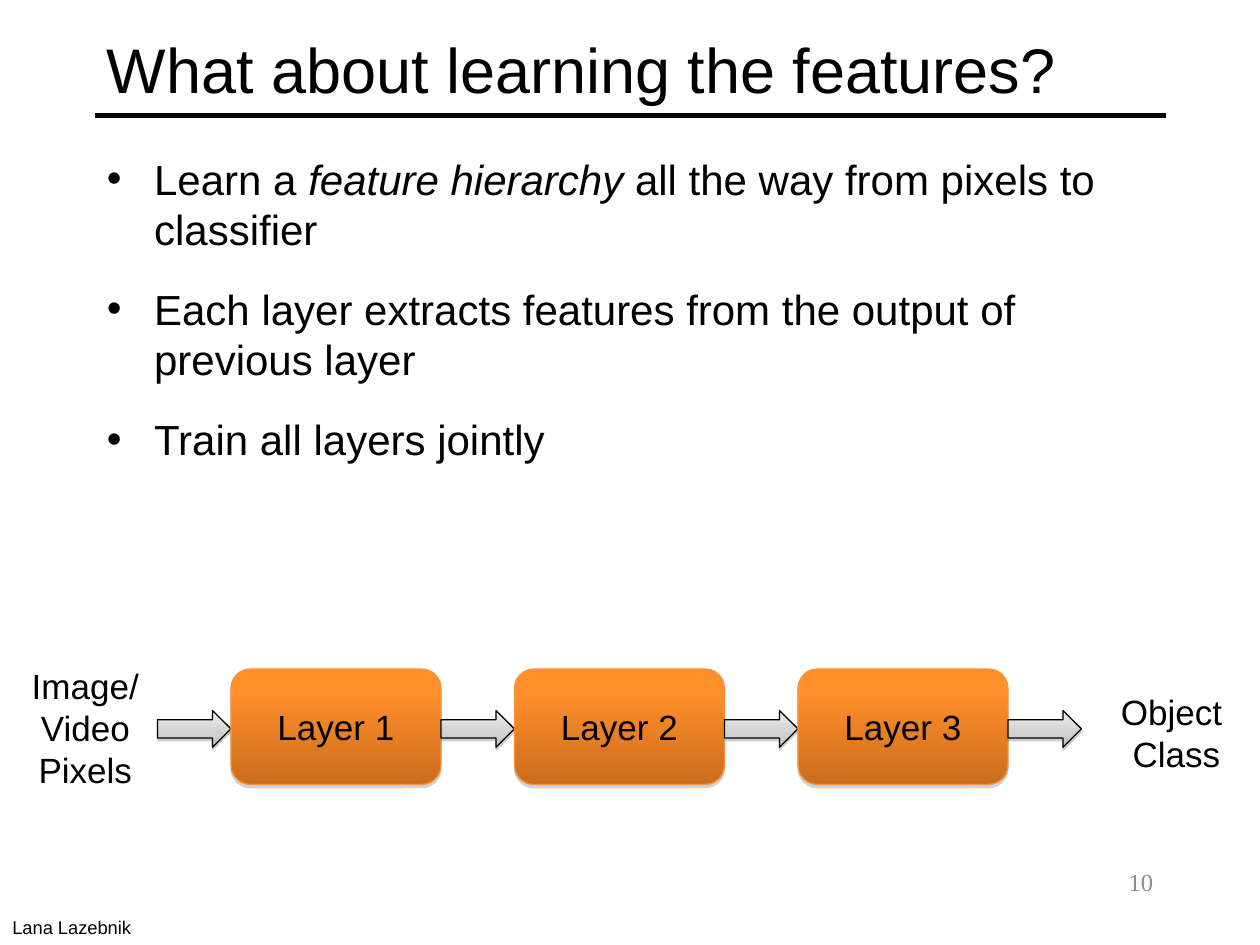
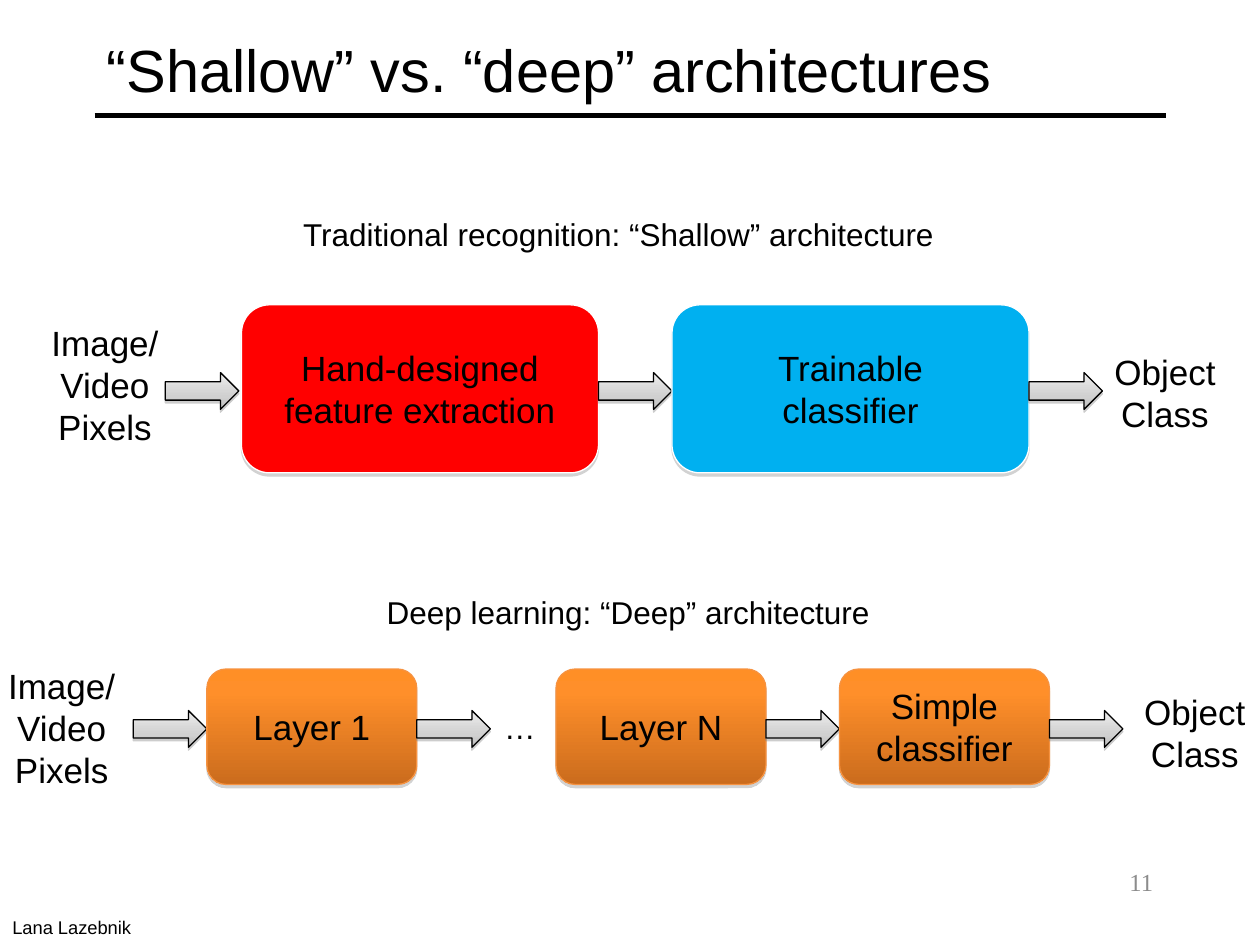
from dataclasses import dataclass
from typing import NamedTuple

import pptx
import pptx.dml.color
import pptx.enum.shapes
import pptx.enum.text
import pptx.oxml
import pptx.oxml.ns
import pptx.util
from lxml import etree

Pt = pptx.util.Pt
RGBColor = pptx.dml.color.RGBColor
SHAPE = pptx.enum.shapes.MSO_SHAPE
ALIGN = pptx.enum.text.PP_ALIGN
ANCHOR = pptx.enum.text.MSO_ANCHOR
qn = pptx.oxml.ns.qn

COLORS = {
    "text": "000000", "number": "8C8C8C", "rule": "000000", "shadow": "808080",
    "hand": "FF0000", "trainable": "00B0F0", "box_line": "FFFFFF",
    "layer_top": "FF8F26", "layer_mid": "FF8F2A", "layer_end": "CB6C1D",
    "layer_line": "F69240",
    "arrow_top": "EDEDED", "arrow_mid": "D0D0D0", "arrow_end": "BCBCBC",
    "arrow_line": "000000",
}
MARGIN, CONTENT_W = 54, 612
ARROW_W, ARROW_H, ARROW_DROP = 42, 21, 1.2
PIXELS = ("Image/ Video", "Pixels")


class Paint(NamedTuple):
    """Gradient stops (position in percent, colour) or one solid stop."""
    stops: tuple[tuple[int, str], ...]
    line: str
    shadow_alpha: int
    shadow_drop: float


PAINTS = {
    "layer": Paint(((0, "layer_top"), (20, "layer_mid"), (100, "layer_end")),
                   "layer_line", 35, 1.8),
    "arrow": Paint(((0, "arrow_top"), (65, "arrow_mid"), (100, "arrow_end")),
                   "arrow_line", 38, 1.6),
    "hand": Paint(((0, "hand"),), "box_line", 35, 1.8),
    "trainable": Paint(((0, "trainable"),), "box_line", 35, 1.8),
}


class Box(NamedTuple):
    x: float
    y: float
    w: float
    h: float


@dataclass
class Label:
    box: Box
    lines: tuple[str, ...]
    size: float = 20
    align: ALIGN = ALIGN.CENTER
    wrap: bool = False
    anchor: ANCHOR = ANCHOR.TOP
    color: str = "text"
    font: str = "Arial"


@dataclass
class Stage:
    text: str
    paint: str = "layer"
    gap: float = 0


@dataclass
class Pipeline:
    x: float
    middle: float
    box_w: float
    box_h: float
    stages: list[Stage]


def rgb(name: str) -> RGBColor:
    return RGBColor.from_string(COLORS[name])


def add_run(p, text: str, size: float, color: str = "text",
            font: str = "Arial", italic: bool = False) -> None:
    """Add text to a paragraph; a vertical tab becomes a line break."""
    for i, part in enumerate(text.split("\v")):
        if i:
            p.add_line_break()
        r = p.add_run()
        r.text = part
        fmt = {"name": font, "size": Pt(size), "italic": italic}
        for key, value in fmt.items():
            setattr(r.font, key, value)
        r.font.color.rgb = rgb(color)


def add_label(s, label: Label) -> None:
    tf = s.shapes.add_textbox(*map(Pt, label.box)).text_frame
    fmt = {"word_wrap": label.wrap, "vertical_anchor": label.anchor}
    for key, value in fmt.items():
        setattr(tf, key, value)
    for i, line in enumerate(label.lines):
        p = tf.add_paragraph() if i else tf.paragraphs[0]
        p.alignment = label.align
        add_run(p, line, label.size, label.color, label.font)


def set_shadow(sp, alpha: int = 0, drop: float = 0) -> None:
    """Give a shape a shadow straight below it, or none when alpha is 0."""
    spPr = sp._element.spPr
    for old in spPr.findall(qn("a:effectLst")):
        spPr.remove(old)
    effects = etree.SubElement(spPr, qn("a:effectLst"))
    if alpha:
        shadow = etree.SubElement(effects, qn("a:outerShdw"), dist=str(Pt(drop)),
                                  dir="5400000", rotWithShape="0")
        clr = etree.SubElement(shadow, qn("a:srgbClr"), val=COLORS["shadow"])
        etree.SubElement(clr, qn("a:alpha"), val=str(alpha * 1000))


def paint_shape(sp, paint: Paint) -> None:
    if len(paint.stops) == 1:
        sp.fill.solid()
        sp.fill.fore_color.rgb = rgb(paint.stops[0][1])
    else:
        sp.fill.gradient()
        sp.fill.gradient_angle = 270
        gs_list = sp._element.spPr.find(".//" + qn("a:gsLst"))
        for gs in list(gs_list):
            gs_list.remove(gs)
        for pos, color in paint.stops:
            gs = etree.SubElement(gs_list, qn("a:gs"), pos=str(pos * 1000))
            etree.SubElement(gs, qn("a:srgbClr"), val=COLORS[color])
    sp.line.color.rgb = rgb(paint.line)
    sp.line.width = Pt(0.75)
    set_shadow(sp, paint.shadow_alpha, paint.shadow_drop)


def add_painted(s, kind: SHAPE, box: Box, paint: str):
    sp = s.shapes.add_shape(kind, *map(Pt, box))
    paint_shape(sp, PAINTS[paint])
    return sp


def add_pipeline(s, row: Pipeline) -> None:
    """Draw an arrow in, then each stage box followed by its arrow out."""
    arrow_y = row.middle + ARROW_DROP - ARROW_H / 2

    def add_arrow(x: float) -> float:
        add_painted(s, SHAPE.RIGHT_ARROW, Box(x, arrow_y, ARROW_W, ARROW_H), "arrow")
        return x + ARROW_W

    x = add_arrow(row.x)
    for stage in row.stages:
        x += stage.gap
        box = Box(x, row.middle - row.box_h / 2, row.box_w, row.box_h)
        sp = add_painted(s, SHAPE.ROUNDED_RECTANGLE, box, stage.paint)
        tf = sp.text_frame
        tf.word_wrap = True
        tf.vertical_anchor = ANCHOR.MIDDLE
        p = tf.paragraphs[0]
        p.alignment = ALIGN.CENTER
        add_run(p, stage.text, 20)
        x = add_arrow(x + row.box_w)


def add_bullets(s, box: Box, bullets: list[list[tuple[str, bool]]]) -> None:
    """Each bullet is a list of (text, italic) parts."""
    tf = s.shapes.add_textbox(*map(Pt, box)).text_frame
    tf.word_wrap = True
    for i, parts in enumerate(bullets):
        p = tf.add_paragraph() if i else tf.paragraphs[0]
        p.space_before = Pt(4.8 if i else 0)
        p.space_after = Pt(12)
        pPr = p._p.get_or_add_pPr()
        pPr.set("marL", str(Pt(27)))
        pPr.set("indent", str(-Pt(27)))
        etree.SubElement(pPr, qn("a:buFont"), typeface="Arial")
        etree.SubElement(pPr, qn("a:buChar"), char="•")
        for text, italic in parts:
            add_run(p, text, 24, italic=italic)


def add_slide(prs, title: str, title_size: float, number: int):
    """Add a blank slide with the shared title, rule, credit and number."""
    s = prs.slides.add_slide(prs.slide_layouts[6])
    rule = s.shapes.add_connector(
        pptx.enum.shapes.MSO_CONNECTOR.STRAIGHT,
        Pt(MARGIN), Pt(66), Pt(MARGIN + CONTENT_W), Pt(66))
    rule.line.color.rgb = rgb("rule")
    rule.line.width = Pt(3)
    set_shadow(rule)
    add_label(s, Label(Box(MARGIN, 6, CONTENT_W, 66), (title,), title_size,
                       ALIGN.LEFT, True, ANCHOR.MIDDLE))
    add_label(s, Label(Box(0, 520, 83.5, 20), ("Lana Lazebnik",), 10.5, ALIGN.LEFT))
    add_label(s, Label(Box(516, 492, 150, 36), (str(number),), 14, ALIGN.RIGHT,
                       True, color="number", font="Times New Roman"))
    return s


def build_learning(prs) -> None:
    s = add_slide(prs, "What about learning the features?", 36, 10)
    add_bullets(s, Box(MARGIN, 84, CONTENT_W, 402), [
        [("Learn a ", False), ("feature hierarchy", True),
         (" all the way from pixels to classifier", False)],
        [("Each layer extracts features from the output of previous layer", False)],
        [("Train all layers jointly", False)],
    ])
    add_pipeline(s, Pipeline(90, 415.3, 120, 66,
                             [Stage(f"Layer {n}") for n in (1, 2, 3)]))
    add_label(s, Label(Box(-4.5, 376, 106.5, 80), PIXELS, wrap=True))
    add_label(s, Label(Box(633, 391, 78.5, 55.5), ("Object ", "Class")))


def build_architectures(prs) -> None:
    s = add_slide(prs, "“Shallow” vs. “deep” architectures", 34, 11)
    add_pipeline(s, Pipeline(94.5, 222.2, 204, 96, [
        Stage("Hand-designed\vfeature extraction", "hand", gap=1.5),
        Stage("Trainable\vclassifier", "trainable"),
    ]))
    add_pipeline(s, Pipeline(76.2, 415.3, 120, 66, [
        Stage("Layer 1"), Stage("Layer N", gap=37.5), Stage("Simple classifier"),
    ]))
    for label in (
        Label(Box(164, 119.5, 379, 29), ("Traditional recognition: “Shallow” architecture",), 18),
        Label(Box(212.5, 335.5, 293, 29), ("Deep learning: “Deep” architecture",), 18),
        Label(Box(6, 180, 108, 80), PIXELS, wrap=True),
        Label(Box(629.5, 196.5, 72.5, 55.5), ("Object\vClass",)),
        Label(Box(-18, 376, 106.5, 80), PIXELS, wrap=True),
        Label(Box(633.5, 391, 98.5, 55.5), ("Object Class",), wrap=True),
        Label(Box(281, 401, 39, 36), ("…",), 18, ALIGN.LEFT),
    ):
        add_label(s, label)


def main() -> None:
    prs = pptx.Presentation()
    prs.slide_width, prs.slide_height = Pt(720), Pt(540)
    build_learning(prs)
    build_architectures(prs)
    prs.save("out.pptx")


if __name__ == "__main__":
    main()
